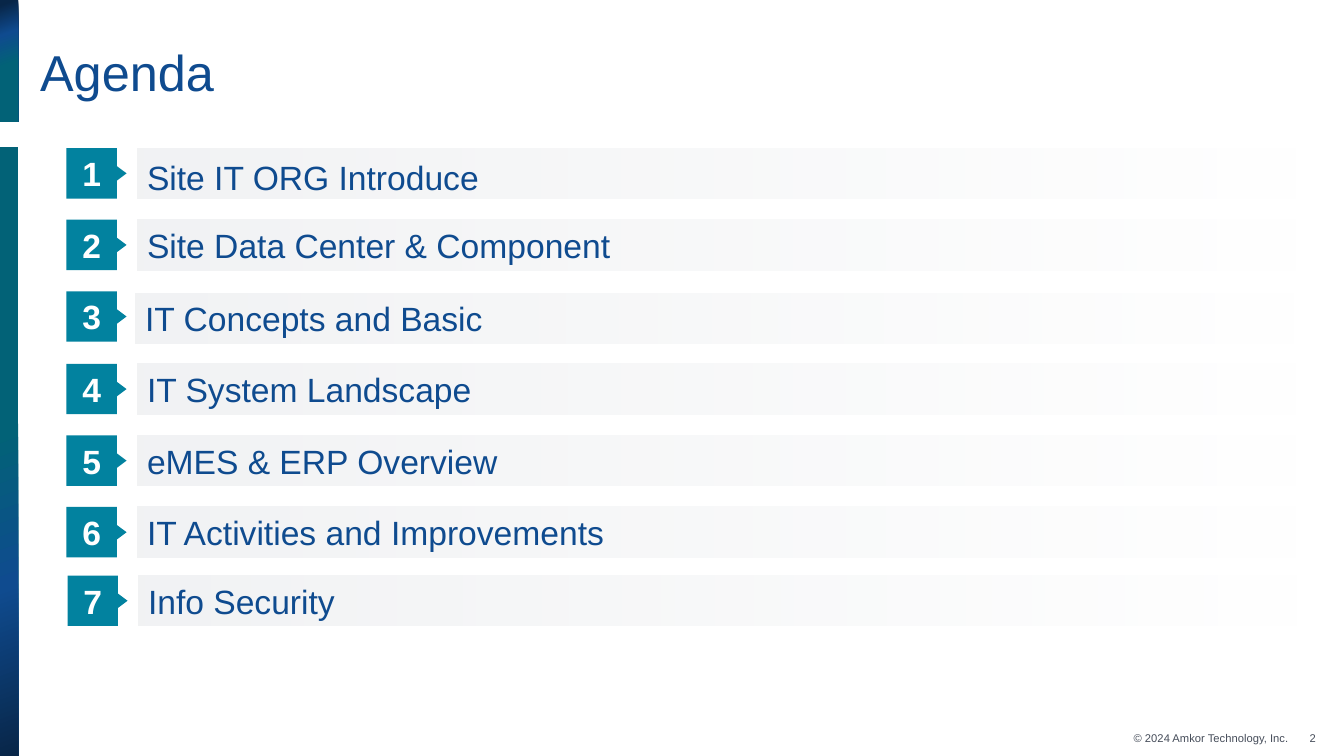
from lxml import etree
from pptx import Presentation
from pptx import util as u
from pptx.dml.color import RGBColor
from pptx.enum import shapes, text
from pptx.oxml import ns

PX = 9144  # EMU per px, 100 px to the inch
FONT = "Arial"
BLUE = RGBColor(0x0F, 0x4B, 0x8F)
NAVY = RGBColor(0x08, 0x26, 0x48)
DEEP = RGBColor(0x02, 0x62, 0x77)
TEAL = RGBColor(0x02, 0x82, 0x9F)
PALE = RGBColor(0xD8, 0xDB, 0xE0)
GREY = RGBColor(0x46, 0x4D, 0x5A)
WHITE = RGBColor(0xFF, 0xFF, 0xFF)

TOP, STEP, SIDE = 147, 71.2, 50
# Label, shift of the whole row, shift of its bar, line spacing
ITEMS = [
    ("Site IT ORG Introduce", (0, 0), (0, 0), 1.2),
    ("Site Data Center & Component", (0, 0), (0, 0), 1),
    ("IT Concepts and Basic", (0, 0), (-2, 2), 1),
    ("IT System Landscape", (0, 0), (0, 0), 1),
    ("eMES & ERP Overview", (0, 0), (0, 0), 1),
    ("IT Activities and Improvements", (0, 0), (0, 0), 1),
    ("Info Security", (1, -3), (0, 0), 1),
]


def place(*box):
    return [u.Emu(n * PX) for n in box]


def add_form(slide, box, color=None, kind=shapes.MSO_SHAPE.RECTANGLE):
    form = slide.shapes.add_shape(kind, *place(*box))
    form.shadow.inherit = False
    form.line.fill.background()
    if color is not None:
        form.fill.solid()
        form.fill.fore_color.rgb = color
    return form


def blend(form, stops, angle):
    """Fill with a linear gradient; stops are (percent, color, opacity)."""
    form.fill.background()
    props = form.fill._xPr
    old = props.find(ns.qn("a:noFill"))
    grad = etree.Element(ns.qn("a:gradFill"), rotWithShape="1")
    row = etree.SubElement(grad, ns.qn("a:gsLst"))
    for pos, color, alpha in stops:
        stop = etree.SubElement(row, ns.qn("a:gs"), pos=str(pos * 1000))
        tint = etree.SubElement(stop, ns.qn("a:srgbClr"), val=str(color))
        if alpha < 100:
            etree.SubElement(tint, ns.qn("a:alpha"), val=str(alpha * 1000))
    etree.SubElement(grad, ns.qn("a:lin"), ang=str(angle * 60000), scaled="0")
    props.replace(old, grad)


def write(form, words, size, color, align=text.PP_ALIGN.LEFT, bold=False,
          pad=(10, 5, 10, 5), space=1, wrap=True):
    frame = form.text_frame
    frame.word_wrap = wrap
    frame.vertical_anchor = text.MSO_ANCHOR.MIDDLE
    (frame.margin_left, frame.margin_top,
     frame.margin_right, frame.margin_bottom) = place(*pad)
    para = frame.paragraphs[0]
    para.alignment = align
    para.line_spacing = space
    run = para.add_run()
    run.text = words
    run.font.name = FONT
    run.font.size = u.Pt(size)
    run.font.bold = bold
    run.font.color.rgb = color


def add_label(slide, box, words, size, color, **style):
    write(slide.shapes.add_textbox(*place(*box)), words, size, color, **style)


def add_strip(slide, box, stops):
    blend(add_form(slide, box), [(pos, c, 100) for pos, c in stops], 70)


def add_bar(slide, left, top, words, space):
    bar = add_form(slide, (left, top, 1168, SIDE))
    blend(bar, [(0, PALE, 35), (100, PALE, 0)], 0)
    write(bar, words, 24, BLUE, space=space)


def add_badge(slide, left, top, num):
    badge = add_form(slide, (left, top, SIDE, SIDE), TEAL)
    write(badge, str(num), 24, WHITE, align=text.PP_ALIGN.CENTER, bold=True,
          pad=(0, 0, 0, 0), wrap=False)
    tip = add_form(slide, (left + 47, top + 20, 15, 10), TEAL,
                   shapes.MSO_SHAPE.ISOSCELES_TRIANGLE)
    tip.rotation = 90


def main():
    deck = Presentation()
    deck.slide_width, deck.slide_height = place(1333, 750)
    slide = deck.slides.add_slide(deck.slide_layouts[6])

    # Side strips
    add_strip(slide, (0, 0, 18, 121), [(4, NAVY), (28, BLUE), (53, DEEP)])
    add_strip(slide, (0, 146, 18, 604),
              [(0, DEEP), (46, DEEP), (72, BLUE), (100, NAVY)])

    # Title
    add_label(slide, (30, 25, 1275, 110), "Agenda", 36, BLUE,
              pad=(10, 0, 10, 10), space=0.9)

    # Agenda rows
    for i, (words, (dx, dy), (bx, by), space) in enumerate(ITEMS):
        left, top = 66 + dx, round(TOP + i * STEP) + dy
        add_bar(slide, left + 70 + bx, top + by, words, space)
        add_badge(slide, left, top, i + 1)

    # Footer
    right = text.PP_ALIGN.RIGHT
    add_label(slide, (1043, 720, 248, 25), "© 2024 Amkor Technology, Inc.",
              8, GREY, align=right, pad=(13, 7, 13, 7))
    add_label(slide, (1265, 720, 50, 25), "2", 8, GREY, align=right,
              pad=(10, 7, 10, 7))

    deck.save("out.pptx")


if __name__ == "__main__":
    main()
